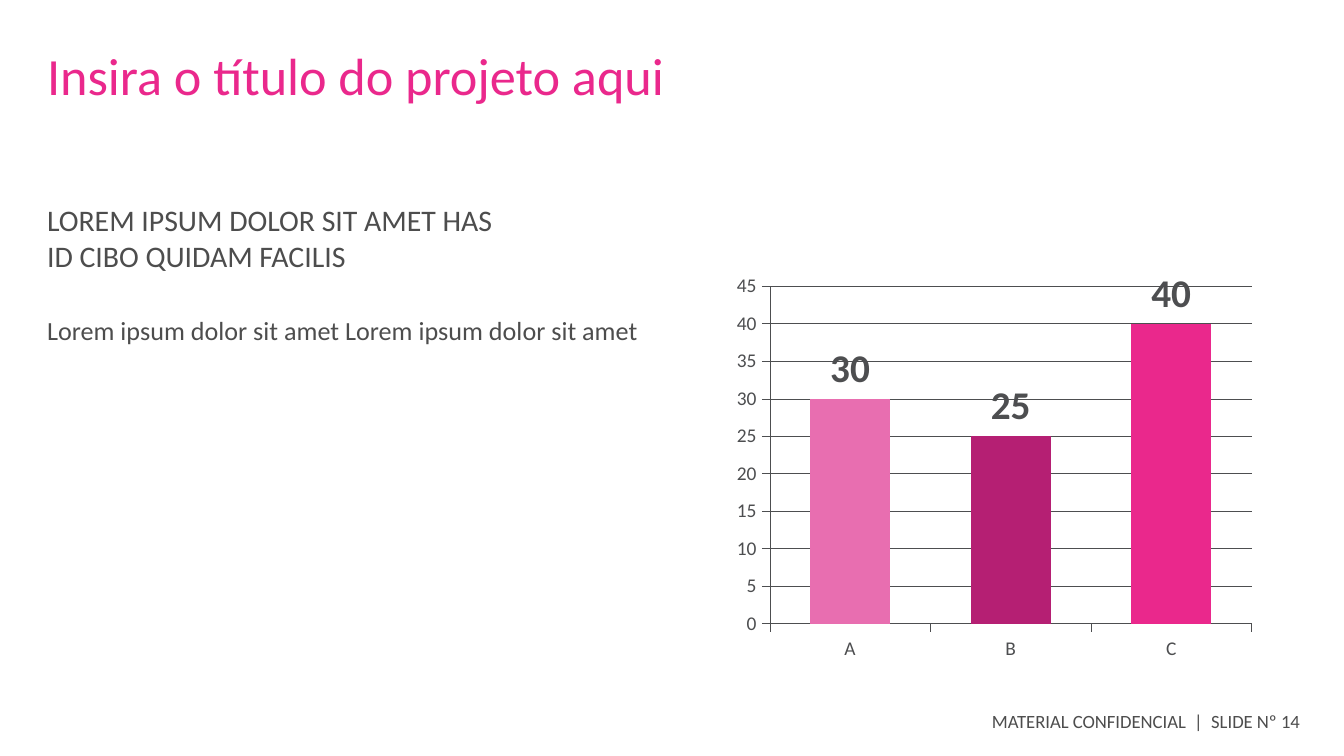
import pptx
import pptx.chart.data
import pptx.dml.color
import pptx.enum.chart
import pptx.enum.text
import pptx.oxml
import pptx.oxml.ns
import pptx.util
import lxml.etree

Pt = pptx.util.Pt
GRAY = "4D4D4D"
AXIS_GRAY = "4D4E50"
PINK = "EA288C"


def color(value):
    return pptx.dml.color.RGBColor.from_string(value)


def format_text(shape, box, text, size, text_color, line_spacing=None):
    for name, value in zip(("left", "top", "width", "height"), box):
        setattr(shape, name, Pt(value))
    frame = shape.text_frame
    frame_format = {
        "margin_left": 0, "margin_top": 0, "margin_right": 0, "margin_bottom": 0,
        "word_wrap": True,
        "auto_size": pptx.enum.text.MSO_AUTO_SIZE.NONE,
        "vertical_anchor": pptx.enum.text.MSO_ANCHOR.TOP,
    }
    for name, value in frame_format.items():
        setattr(frame, name, value)
    frame.text = text
    paragraph = frame.paragraphs[0]
    paragraph_format = {
        "alignment": pptx.enum.text.PP_ALIGN.LEFT,
        "space_before": Pt(0),
        "line_spacing": Pt(line_spacing) if line_spacing else 1.0,
    }
    for name, value in paragraph_format.items():
        setattr(paragraph, name, value)
    properties = paragraph._p.get_or_add_pPr()
    properties.set("marL", "0")
    properties.set("indent", "0")
    lxml.etree.SubElement(properties, pptx.oxml.ns.qn("a:buNone"))
    for run in paragraph.runs:
        for name, value in {"name": "Calibri", "size": Pt(size), "bold": False}.items():
            setattr(run.font, name, value)
        run.font.color.rgb = color(text_color)


presentation = pptx.Presentation()
presentation.slide_width = Pt(720)
presentation.slide_height = Pt(405)
slide = presentation.slides.add_slide(presentation.slide_layouts[3])
title, heading, body = slide.placeholders

format_text(title, (25.2, 20.9, 348.5, 74.2), "Insira o título do projeto aqui", 28, PINK, 36)
format_text(heading, (25.2, 108, 299.5, 44),
            "LOREM IPSUM DOLOR SIT AMET HAS \vID CIBO QUIDAM FACILIS", 16, GRAY)
format_text(body, (25.2, 171.4, 336.2, 94.3),
            "Lorem ipsum dolor sit amet Lorem ipsum dolor sit amet", 14, GRAY, 14)

chart_data = pptx.chart.data.CategoryChartData()
chart_data.categories = ["A", "B", "C"]
chart_data.add_series("Series 1", (30, 25, 40))
chart = slide.shapes.add_chart(
    pptx.enum.chart.XL_CHART_TYPE.COLUMN_CLUSTERED,
    Pt(373.7), Pt(142.6), Pt(322.6), Pt(215.3), chart_data).chart
chart.has_legend = False
chart.has_title = False
chart.font.name = "Cabin"
chart.font.size = Pt(10.4)
chart.font.color.rgb = color("3BC2D7")

chart.value_axis.has_major_gridlines = True
chart.value_axis.minimum_scale = 0
chart.value_axis.maximum_scale = 45
chart.value_axis.major_unit = 5
for axis in (chart.category_axis, chart.value_axis):
    axis.major_tick_mark = pptx.enum.chart.XL_TICK_MARK.OUTSIDE
    axis.tick_labels.font.name = "Calibri"
    axis.tick_labels.font.size = Pt(10.4)
    axis.tick_labels.font.color.rgb = color(AXIS_GRAY)
for line in (chart.category_axis.format.line, chart.value_axis.format.line,
             chart.value_axis.major_gridlines.format.line):
    line.width = Pt(0.25)
    line.color.rgb = color(AXIS_GRAY)

plot = chart.plots[0]
plot.gap_width = 100
plot.vary_by_categories = False
series = plot.series[0]
series.format.fill.solid()
series.format.fill.fore_color.rgb = color("A02BFF")
for index, point_color in enumerate(("E86EB0", "B51F73", PINK)):
    fill = series.points[index].format.fill
    fill.solid()
    fill.fore_color.rgb = color(point_color)

labels = series.data_labels
labels.show_value = True
labels.position = pptx.enum.chart.XL_LABEL_POSITION.OUTSIDE_END
for name, value in {"name": "Calibri", "size": Pt(21), "bold": True}.items():
    setattr(labels.font, name, value)
labels.font.color.rgb = color(AXIS_GRAY)

plot_area = chart._chartSpace.chart.plotArea
for old_layout in plot_area.findall(pptx.oxml.ns.qn("c:layout")):
    plot_area.remove(old_layout)
layout = lxml.etree.Element(pptx.oxml.ns.qn("c:layout"))
manual = lxml.etree.SubElement(layout, pptx.oxml.ns.qn("c:manualLayout"))
for name, value in (("layoutTarget", "inner"), ("xMode", "edge"), ("yMode", "edge"),
                    ("x", "0.12"), ("y", "0.05"), ("w", "0.8"), ("h", "0.84")):
    lxml.etree.SubElement(manual, pptx.oxml.ns.qn("c:" + name)).set("val", value)
plot_area.insert(0, layout)

footer = slide.shapes.add_textbox(0, 0, 0, 0)
format_text(footer, (531.4, 380.2, 174.2, 13.7),
            "MATERIAL CONFIDENCIAL  |  SLIDE Nº 14", 10, GRAY)

presentation.save("out.pptx")
